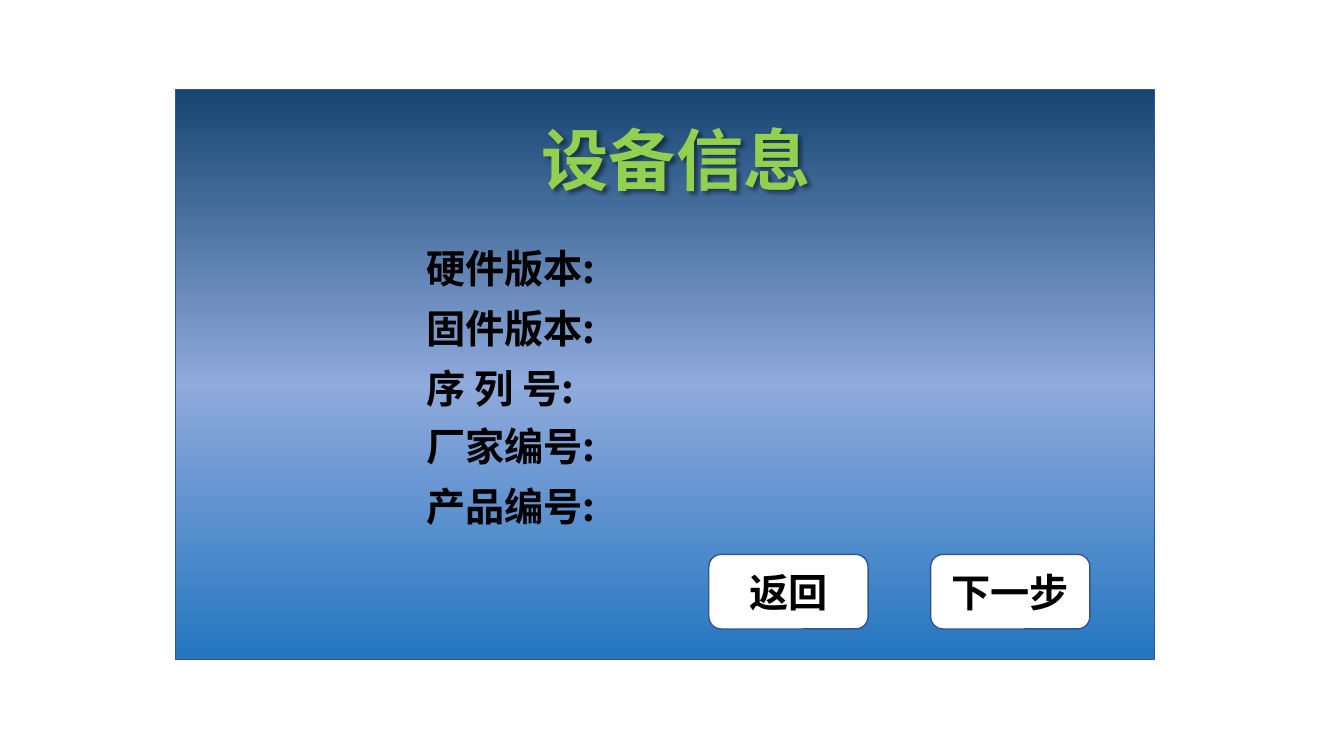
"""Build the device information screen slide."""
import copy

import pptx
import pptx.dml.color
import pptx.enum.shapes
import pptx.enum.text
import pptx.oxml
import pptx.oxml.ns
import pptx.util

Inches = pptx.util.Inches
SHAPE = pptx.enum.shapes.MSO_SHAPE
ALIGN = pptx.enum.text.PP_ALIGN
ANCHOR = pptx.enum.text.MSO_ANCHOR
AUTO_SIZE = pptx.enum.text.MSO_AUTO_SIZE
CJK_FONT = "Noto Sans CJK SC"
COLORS = {
    "top": "164672", "middle": "8FAADC", "bottom": "2476C0",
    "outline": "325491", "title": "92D050", "text": "000000", "button": "FFFFFF",
}
LABELS = [("硬件版本:", 2.37), ("固件版本:", 2.97), ("序 列 号:", 3.57),
          ("厂家编号:", 4.14), ("产品编号:", 4.74)]
BUTTONS = [("返回", 7.03), ("下一步", 9.23)]


def rgb(name):
    return pptx.dml.color.RGBColor.from_string(COLORS[name])


def set_text(sp, text, size, color, font, align, anchor):
    tf = sp.text_frame
    tf.vertical_anchor = anchor
    p = tf.paragraphs[0]
    p.text = text
    p.alignment = align
    p.font.size = pptx.util.Pt(size)
    p.font.bold = True
    p.font.color.rgb = rgb(color)
    p.font.name = font
    latin = p.font._element.find(pptx.oxml.ns.qn("a:latin"))
    ea = pptx.oxml.parse_xml(f'<a:ea {pptx.oxml.ns.nsdecls("a")} typeface="{CJK_FONT}"/>')
    latin.addnext(ea)


def add_box(s, kind, left, top, width, height):
    sp = s.shapes.add_shape(kind, Inches(left), Inches(top), Inches(width), Inches(height))
    sp.shadow.inherit = False
    sp.line.color.rgb = rgb("outline")
    sp.line.width = pptx.util.Pt(1)
    return sp


def add_panel(s):
    sp = add_box(s, SHAPE.RECTANGLE, 1.74, 0.89, 9.71, 5.65)
    sp.fill.gradient()
    sp.fill.gradient_angle = 270
    first = sp.fill.gradient_stops[0]._gs
    first.addnext(copy.deepcopy(first))
    stops = [(0, "top"), (0.52, "middle"), (1, "bottom")]
    for stop, (position, color) in zip(sp.fill.gradient_stops, stops):
        stop.position = position
        stop.color.rgb = rgb(color)


def add_label(s, text, top):
    sp = s.shapes.add_textbox(Inches(4.13), Inches(top), Inches(2.08), Inches(0.57))
    sp.text_frame.word_wrap = True
    sp.text_frame.auto_size = AUTO_SIZE.SHAPE_TO_FIT_TEXT
    set_text(sp, text, 28, "text", CJK_FONT, ALIGN.LEFT, ANCHOR.TOP)


def add_button(s, text, left):
    sp = add_box(s, SHAPE.ROUNDED_RECTANGLE, left, 5.5, 1.58, 0.74)
    sp.fill.solid()
    sp.fill.fore_color.rgb = rgb("button")
    set_text(sp, text, 28, "text", CJK_FONT, ALIGN.CENTER, ANCHOR.MIDDLE)


def add_title(s):
    sp = s.shapes.title
    sp.left, sp.top, sp.width, sp.height = map(Inches, (5.26, 1.12, 2.89, 0.91))
    sp.text_frame.word_wrap = False
    sp.text_frame.auto_size = AUTO_SIZE.SHAPE_TO_FIT_TEXT
    set_text(sp, "设备信息", 48, "title", "Calibri", ALIGN.CENTER, ANCHOR.TOP)
    sp._element.spPr.append(pptx.oxml.parse_xml(
        f'<a:effectLst {pptx.oxml.ns.nsdecls("a")}>'
        '<a:outerShdw blurRad="38100" dist="38100" dir="2700000" algn="tl">'
        '<a:srgbClr val="000000"><a:alpha val="43000"/></a:srgbClr>'
        '</a:outerShdw></a:effectLst>'))
    s.shapes._spTree.append(sp._element)


def main():
    prs = pptx.Presentation()
    prs.slide_width, prs.slide_height = Inches(13.33), Inches(7.5)
    s = prs.slides.add_slide(prs.slide_layouts[5])
    add_panel(s)
    for text, top in LABELS:
        add_label(s, text, top)
    add_title(s)
    for text, left in BUTTONS:
        add_button(s, text, left)
    prs.save("out.pptx")


if __name__ == "__main__":
    main()
